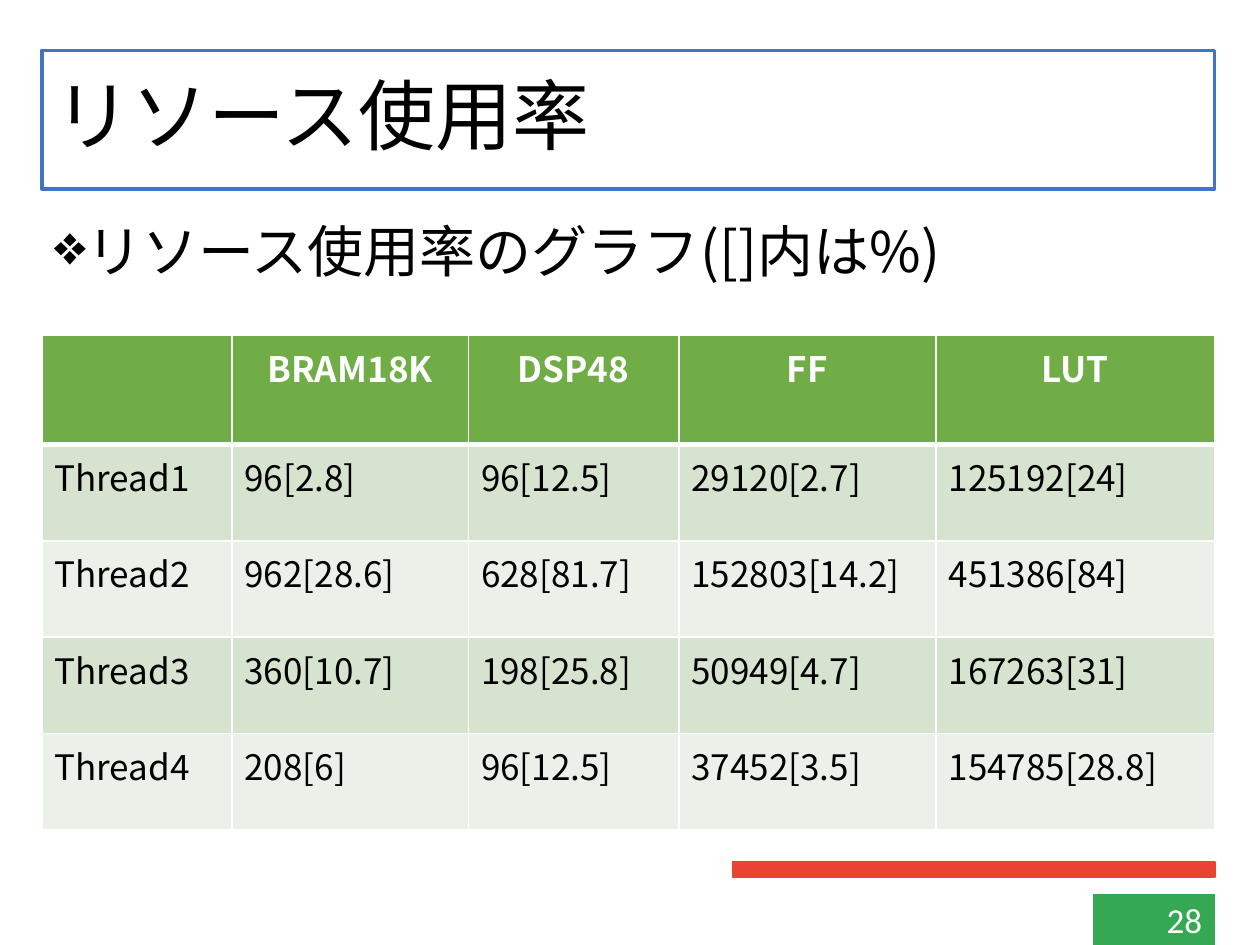
from lxml import etree
from pptx import Presentation
from pptx.dml.color import RGBColor
from pptx.enum import shapes, text
from pptx.oxml import ns
from pptx.util import Pt

COLORS = {
    "black": "000000", "white": "FFFFFF", "frame": "4472C4",
    "red": "EA4335", "page": "34A853",
    "header": "70AD47", "odd": "D5E3CF", "even": "EBF1E9",
}
JAPANESE, LATIN = "Noto Sans CJK JP", "Calibri"
LEFT, WIDTH = 23.9, 670.2
BLOCK_WIDTH = 68.9
RIGHT = LEFT + WIDTH

COLUMN_WIDTHS = [108.6, 135.2, 120.2, 147, 159.2]
ROW_HEIGHTS = [62.6] + [55] * 4
USAGE = [
    ["", "BRAM18K", "DSP48", "FF", "LUT"],
    ["Thread1", "96[2.8]", "96[12.5]", "29120[2.7]", "125192[24]"],
    ["Thread2", "962[28.6]", "628[81.7]", "152803[14.2]", "451386[84]"],
    ["Thread3", "360[10.7]", "198[25.8]", "50949[4.7]", "167263[31]"],
    ["Thread4", "208[6]", "96[12.5]", "37452[3.5]", "154785[28.8]"],
]


def rgb(name):
    return RGBColor.from_string(COLORS[name])


def add_run(paragraph, words, size, color="black", font=JAPANESE, bold=False):
    run = paragraph.add_run()
    run.text = words
    run.font.size, run.font.name, run.font.bold = Pt(size), font, bold
    run.font.color.rgb = rgb(color)
    # East Asian letters take their font from a:ea
    east_asian = etree.SubElement(run.font._element, ns.qn("a:ea"))
    east_asian.set("typeface", font)


def add_box(slide, left, top, width, height, line, line_width, fill=None):
    box = slide.shapes.add_shape(
        shapes.MSO_SHAPE.RECTANGLE, Pt(left), Pt(top), Pt(width), Pt(height))
    box.shadow.inherit = False
    if fill:
        box.fill.solid()
        box.fill.fore_color.rgb = rgb(fill)
    else:
        box.fill.background()
    box.line.color.rgb = rgb(line)
    box.line.width = Pt(line_width)
    box.text_frame.vertical_anchor = text.MSO_ANCHOR.MIDDLE
    return box


def add_bullet_text(slide, words, top, height):
    body = slide.shapes.add_textbox(Pt(LEFT), Pt(top), Pt(WIDTH), Pt(height))
    body.text_frame.word_wrap = True
    paragraph = body.text_frame.paragraphs[0]
    paragraph.line_spacing = 0.9
    paragraph.space_before = Pt(10)
    properties = paragraph._p.get_or_add_pPr()
    properties.set("marL", str(Pt(18)))
    properties.set("indent", str(Pt(-18)))
    etree.SubElement(properties, ns.qn("a:buChar")).set("char", "❖")
    add_run(paragraph, words, 32)


def set_borders(cell, top=1, bottom=1):
    properties = cell._tc.get_or_add_tcPr()
    for side, width in (("L", 1), ("R", 1), ("T", top), ("B", bottom)):
        border = etree.SubElement(properties, ns.qn(f"a:ln{side}"))
        border.set("w", str(Pt(width)))
        fill = etree.SubElement(border, ns.qn("a:solidFill"))
        etree.SubElement(fill, ns.qn("a:srgbClr")).set("val", COLORS["white"])


def add_usage_table(slide, top):
    table = slide.shapes.add_table(
        len(USAGE), len(USAGE[0]), Pt(LEFT), Pt(top),
        Pt(WIDTH), Pt(sum(ROW_HEIGHTS))).table
    for column, width in zip(table.columns, COLUMN_WIDTHS):
        column.width = Pt(width)
    for row, height in zip(table.rows, ROW_HEIGHTS):
        row.height = Pt(height)

    for r, values in enumerate(USAGE):
        is_header = r == 0
        band = "header" if is_header else "odd" if r % 2 else "even"
        for c, value in enumerate(values):
            cell = table.cell(r, c)
            # The rule below the header is heavier
            set_borders(cell, top=3 if r == 1 else 1, bottom=3 if is_header else 1)
            cell.fill.solid()
            cell.fill.fore_color.rgb = rgb(band)
            if not value:
                continue
            paragraph = cell.text_frame.paragraphs[0]
            if is_header:
                paragraph.alignment = text.PP_ALIGN.CENTER
            add_run(paragraph, value, 20, "white" if is_header else "black",
                    bold=is_header)


def main():
    deck = Presentation()
    deck.slide_width, deck.slide_height = Pt(720), Pt(540)
    slide = deck.slides.add_slide(deck.slide_layouts[6])

    # Red footer strip of four equal blocks, flush with the right margin
    for n in range(4, 0, -1):
        add_box(slide, RIGHT - n * BLOCK_WIDTH, 492.5, BLOCK_WIDTH, 8.6,
                "red", 1, "red")

    # Framed title
    title = add_box(slide, LEFT, 28.8, WIDTH, 79.2, "frame", 2)
    heading = title.text_frame.paragraphs[0]
    heading.alignment = text.PP_ALIGN.LEFT
    heading.line_spacing = 0.9
    add_run(heading, "リソース使用率", 44)

    # Bullet line
    add_bullet_text(slide, "リソース使用率のグラフ([]内は%)", 124.6, 367.2)

    # Page number
    page = add_box(slide, RIGHT - BLOCK_WIDTH, 511.2, BLOCK_WIDTH, 28.8,
                   "page", 0.75, "page")
    number = page.text_frame.paragraphs[0]
    number.alignment = text.PP_ALIGN.RIGHT
    add_run(number, "28", 20, "white", LATIN)

    # Resource usage per thread
    add_usage_table(slide, 191.5)

    deck.save("out.pptx")


if __name__ == "__main__":
    main()
